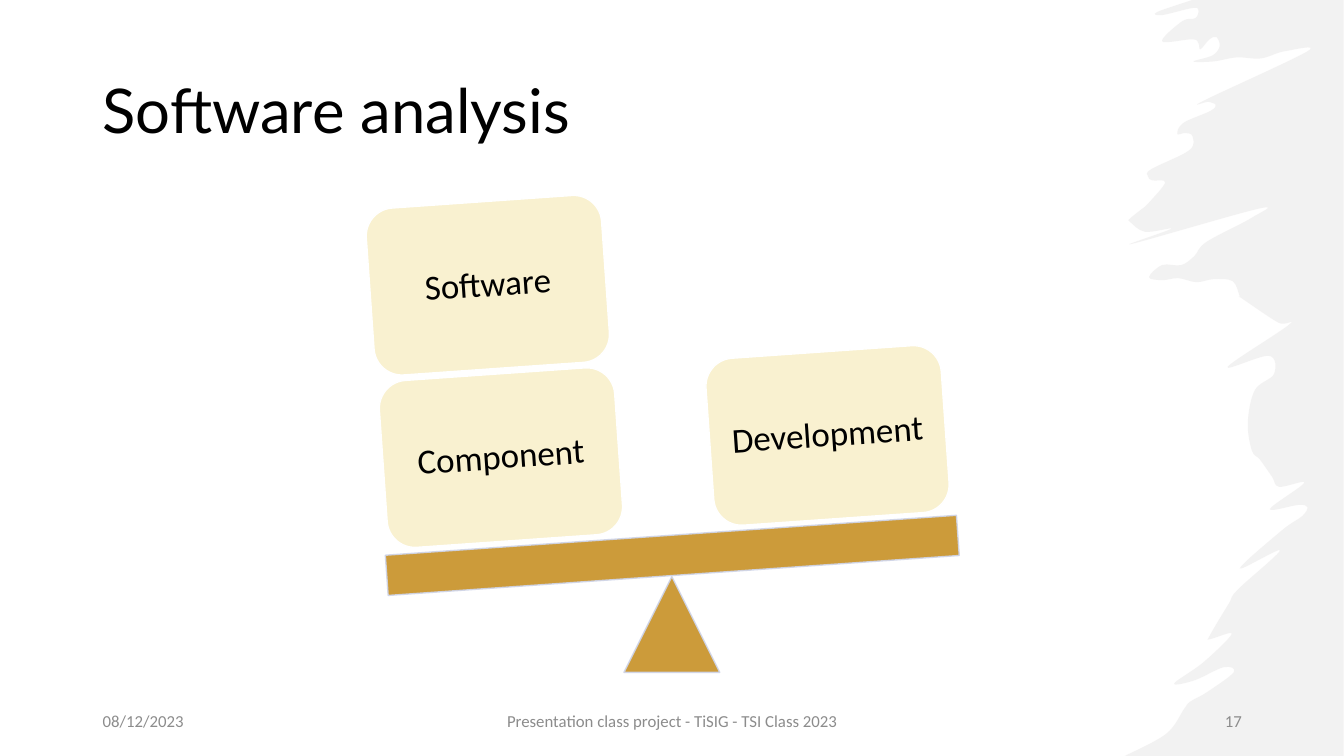
from lxml.etree import SubElement
from pptx import Presentation
from pptx.dml.color import RGBColor
from pptx.enum.shapes import MSO_SHAPE
from pptx.enum.text import MSO_ANCHOR, PP_ALIGN
from pptx.oxml.ns import qn
from pptx.util import Inches, Pt

SCALE = 9144  # EMU per px, 100 px to the inch
WIDTH, HEIGHT = 1333, 750
TILT = 356
COLOURS = {
    "brush": "E7E6E6",
    "gold": "C79125",
    "gold_edge": "CFD5EA",
    "block": "F9F1D0",
    "white": "FFFFFF",
    "black": "000000",
    "footer": "8C8C8C",
}
BLOCKS = [("Component", 380, 371), ("Software", 367, 200), ("Development", 704, 349)]
FOOTERS = [
    ("08/12/2023", 92, 300, PP_ALIGN.LEFT),
    ("Presentation class project - TiSIG - TSI Class 2023", 442, 450, PP_ALIGN.CENTER),
    ("17", 942, 300, PP_ALIGN.RIGHT),
]
BRUSH_EDGE = [
    (1183, 0), (1148, 12), (1153, 15), (1183, 8), (1189, 10), (1186, 18), (1173, 21),
    (1153, 41), (1183, 39), (1189, 43), (1191, 49), (1200, 39), (1207, 37), (1210, 46),
    (1203, 55), (1184, 61), (1204, 61), (1227, 57), (1251, 58), (1274, 51), (1297, 51),
    (1194, 100), (1199, 101), (1206, 104), (1201, 110), (1174, 122), (1168, 133),
    (1176, 132), (1183, 135), (1180, 149), (1142, 168), (1139, 175), (1143, 179),
    (1156, 181), (1139, 202), (1132, 208), (1121, 217), (1121, 220), (1136, 230),
    (1162, 227), (1123, 242), (1249, 207), (1242, 216), (1197, 240), (1185, 254),
    (1172, 263), (1153, 263), (1140, 275), (1153, 278), (1169, 276), (1187, 280),
    (1204, 277), (1223, 279), (1230, 294), (1232, 296), (1268, 320), (1279, 322),
    (1218, 364), (1259, 353), (1264, 371), (1245, 387), (1238, 419), (1242, 447),
    (1250, 456), (1262, 473), (1269, 483), (1294, 479), (1260, 505), (1288, 501),
    (1297, 503), (1292, 512), (1272, 526), (1230, 564), (1270, 546), (1228, 585),
    (1219, 599), (1200, 631), (1201, 634), (1222, 629), (1194, 657), (1165, 678),
    (1185, 675), (1214, 662), (1224, 667), (1197, 687), (1181, 696), (1175, 703),
    (1157, 728), (1116, 750),
]


def px(length):
    return round(length * SCALE)


def colour(name):
    return RGBColor.from_string(COLOURS[name])


def set_fill(fill, name, opacity=100):
    """Apply a solid colour; opacity is a percentage."""
    fill.solid()
    fill.fore_color.rgb = colour(name)
    if opacity < 100:
        solid = fill._xPr.find(qn("a:solidFill"))
        SubElement(solid[0], qn("a:alpha"), val=str(opacity * 1000))


def bend_edge(stroke, points):
    """Turn the straight segments through the points into smooth Bezier curves."""
    padded = [points[0], *points, points[-1]]
    segments = list(stroke._element.iter(qn("a:lnTo")))
    for segment, a, b, c, d in zip(segments, padded, padded[1:], padded[2:], padded[3:]):
        leaving = [q + (r - p) / 6 for p, q, r in zip(a, b, c)]
        arriving = [q - (r - p) / 6 for p, q, r in zip(b, c, d)]
        segment.tag = qn("a:cubicBezTo")
        segment.clear()
        for x, y in (leaving, arriving, c):
            SubElement(segment, qn("a:pt"), x=str(px(x) - stroke.left),
                       y=str(px(y) - stroke.top))


def add_brush_stroke(page):
    outline = [*BRUSH_EDGE, (WIDTH, HEIGHT), (WIDTH, 0)]
    start, *rest = [(px(x), px(y)) for x, y in outline]
    builder = page.shapes.build_freeform(*start, scale=1.0)
    builder.add_line_segments(rest, close=True)
    stroke = builder.convert_to_shape()
    bend_edge(stroke, BRUSH_EDGE)
    stroke.shadow.inherit = False
    set_fill(stroke.fill, "brush", opacity=50)
    stroke.line.fill.background()


def add_part(group, kind, bounds, fill, edge, opacity=100, rotation=0):
    part = group.shapes.add_shape(kind, *map(px, bounds))
    part.rotation = rotation
    part.shadow.inherit = False
    set_fill(part.fill, fill, opacity)
    part.line.width = Pt(1)
    set_fill(part.line.fill, edge, opacity)
    return part


def write(box, text, size, font, name, align, inset=10, spacing=None):
    """Put one styled line in a box; inset is its top and bottom margin."""
    frame = box.text_frame
    frame.word_wrap = True
    frame.vertical_anchor = MSO_ANCHOR.MIDDLE
    frame.margin_left = frame.margin_right = px(10)
    frame.margin_top = frame.margin_bottom = px(inset)
    para = frame.paragraphs[0]
    para.alignment = align
    if spacing:
        para.line_spacing = spacing
    span = para.add_run()
    span.text = text
    span.font.size = Pt(size)
    span.font.name = font
    span.font.color.rgb = colour(name)


def add_balance(page):
    group = page.shapes.add_group_shape()
    add_part(group, MSO_SHAPE.ISOSCELES_TRIANGLE, (619, 572, 95, 95),
             "gold", "gold_edge", opacity=90)
    add_part(group, MSO_SHAPE.RECTANGLE, (383, 531, 568, 40),
             "gold", "gold_edge", opacity=90, rotation=TILT)
    for label, left, top in BLOCKS:
        block = add_part(group, MSO_SHAPE.ROUNDED_RECTANGLE, (left, top, 234, 166),
                         "block", "white", rotation=TILT)
        write(block, label, 25, "Calibri", "black", PP_ALIGN.CENTER, spacing=0.9)


def add_title(page, text):
    box = page.shapes.add_textbox(*map(px, (92, 40, 1150, 145)))
    write(box, text, 44, "Lato", "black", PP_ALIGN.LEFT, spacing=0.9)


def add_footer(page, text, left, width, align):
    box = page.shapes.add_textbox(*map(px, (left, 695, width, 40)))
    write(box, text, 12, "Calibri", "footer", align, inset=5)


def main():
    deck = Presentation()
    deck.slide_width, deck.slide_height = Inches(40 / 3), px(HEIGHT)
    page = deck.slides.add_slide(deck.slide_layouts[6])
    set_fill(page.background.fill, "white")
    add_brush_stroke(page)
    add_balance(page)
    add_title(page, "Software analysis")
    for footer in FOOTERS:
        add_footer(page, *footer)
    deck.save("out.pptx")


if __name__ == "__main__":
    main()
